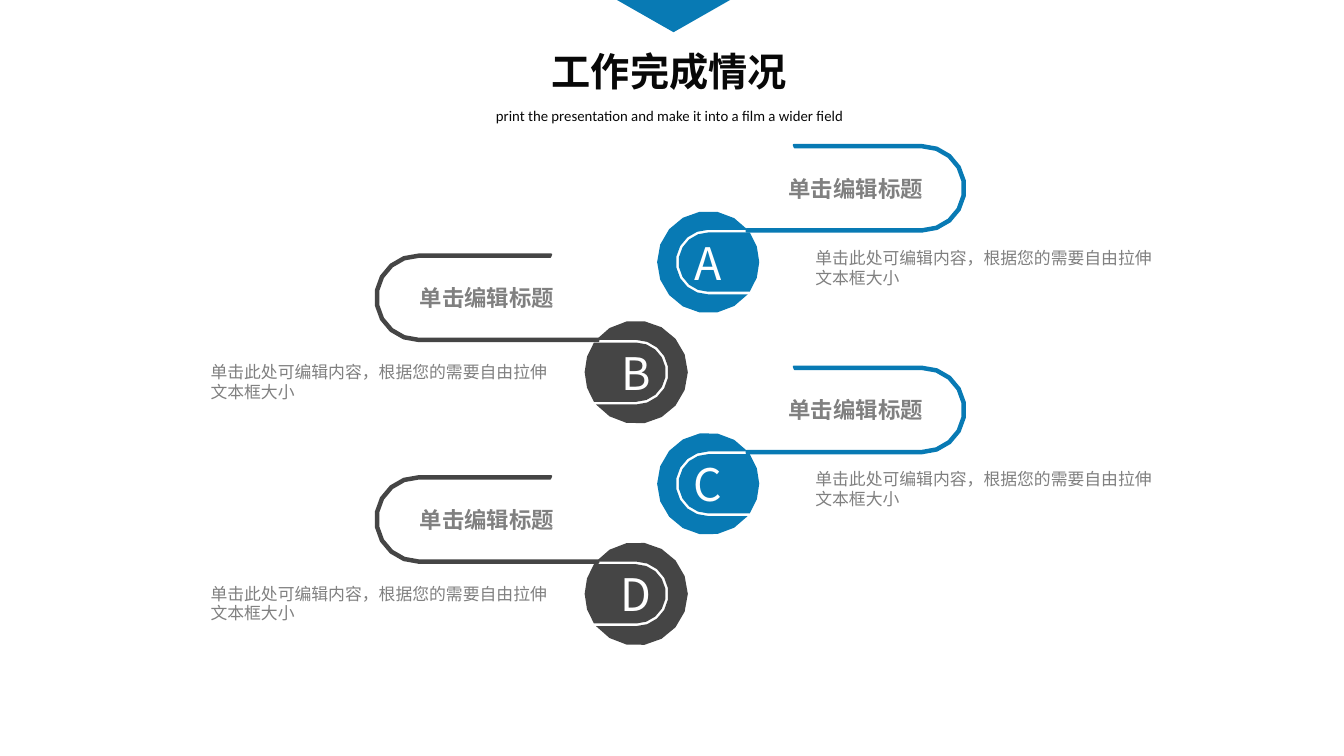
from math import asin, cos, degrees, radians, sin

from lxml.etree import SubElement
from pptx import Presentation
from pptx.dml.color import RGBColor
from pptx.enum.text import MSO_ANCHOR as ANCHOR, MSO_AUTO_SIZE as AUTOSIZE, PP_ALIGN as ALIGN
from pptx.oxml.ns import qn
from pptx.util import Cm, Pt

BLUE, DARK, GREY, BLACK, WHITE = "087AB4", "454545", "808080", "080808", "FFFFFF"
CJK = "Noto Sans CJK SC"
HEADING = "单击编辑标题"
NOTE = "单击此处可编辑内容，根据您的需要自由拉伸文本框大小"
NOTE_W, NOTE_H = 6.91, 1.02
BADGE_DY, HOOK_DX, HOOK_H = 1.25, 1.69, 1.64
ROW_STEP = 4.19
ARC_STEP = 20  # degrees between the points of an arc


def color(value):
    return RGBColor.from_string(value)


def write(sp, text, size=9, fill=GREY, bold=False, font=CJK, align=ALIGN.CENTER,
          anchor=ANCHOR.MIDDLE, margins=(0.25, 0.13), leading=None):
    tf = sp.text_frame
    tf.word_wrap = True
    tf.auto_size = AUTOSIZE.NONE
    tf.vertical_anchor = anchor
    tf.margin_left = tf.margin_right = Cm(margins[0])
    tf.margin_top = tf.margin_bottom = Cm(margins[1])
    p = tf.paragraphs[0]
    p.alignment = align
    p.space_before = Pt(0)
    if leading:
        p.line_spacing = Pt(leading)
    r = p.add_run()
    r.text = text
    r.font.size = Pt(size)
    r.font.bold = bold
    r.font.color.rgb = color(fill)
    r.font.name = font
    SubElement(r.font._element, qn("a:ea")).set("typeface", CJK)


def place(sp, x, y, w, h):
    sp.left, sp.top, sp.width, sp.height = Cm(x), Cm(y), Cm(w), Cm(h)


def arc(cx, cy, radius, start, end):
    steps = max(2, round(abs(end - start) / ARC_STEP))
    angles = [radians(start + (end - start) * i / steps) for i in range(steps + 1)]
    return [(cx + radius * cos(a), cy + radius * sin(a)) for a in angles]


def outline(s, contours, fill, line=None, x=0, y=0, side=1):
    """Draw closed contours from origin (x, y); side -1 mirrors them."""
    builder = None
    for contour in contours:
        points = [(Cm(x + side * u), Cm(y + v)) for u, v in contour]
        if builder is None:
            builder = s.shapes.build_freeform(*points[0], scale=1.0)
        else:
            builder.move_to(*points[0])
        builder.add_line_segments(points[1:], close=True)
    sp = builder.convert_to_shape()
    sp.shadow.inherit = False
    sp.fill.solid()
    sp.fill.fore_color.rgb = color(fill)
    if line:
        sp.line.color.rgb = color(fill)
        sp.line.width = Pt(line)
    else:
        sp.line.fill.background()
    return sp


def add_badge(s, x, y, radius, side, letter, fill):
    """Disc cut by a thin U-shaped track that opens to one side."""
    contours = []
    for half, turn in ((0.56, 0), (0.61, 360)):
        edge = degrees(asin(half / radius))
        contours.append(arc(0, 0, radius, -edge, edge - turn) + arc(0, 0, half, 90, 270))
    sp = outline(s, contours, fill, x=x, y=y, side=side)
    write(sp, letter, size=24, fill=WHITE)


def add_hook(s, x, y, w, h, side, fill):
    """Thin band that runs out, turns round and comes back."""
    radius, band = h / 2, 0.05
    cx = w - radius
    contour = ([(0.89, 0)] + arc(cx, radius, radius, -90, 90) + [(0, h), (0, h - band)]
               + arc(cx, radius, radius - band, 90, -90) + [(0.91, band)])
    sp = outline(s, [contour], fill, line=1, x=x, y=y, side=side)
    write(sp, HEADING, size=12, bold=True)


def add_item(s, x, y, w, h, side, letter, fill, hook_w, note_dy):
    """Badge at the inner edge of the box, hook and note towards the outer one."""
    radius = (h - BADGE_DY) / 2
    inner = x if side > 0 else x + w
    add_badge(s, inner + side * radius, y + BADGE_DY + radius, radius, side, letter, fill)
    add_hook(s, inner + side * HOOK_DX, y, hook_w, HOOK_H, side, fill)
    note_x = x + w - NOTE_W if side > 0 else x
    sp = s.shapes.add_textbox(Cm(note_x), Cm(y + note_dy), Cm(NOTE_W), Cm(NOTE_H))
    write(sp, NOTE, align=ALIGN.LEFT, anchor=ANCHOR.TOP, margins=(0.25, 0.18), leading=10.7)


def add_header(s, x, y, w, h):
    # Title and subtitle
    title, subtitle = s.shapes.title, s.placeholders[1]
    place(title, x, y, w, h - 0.58)
    write(title, "工作完成情况", size=21, fill=BLACK, bold=True, font="Calibri", margins=(0, 0))
    place(subtitle, x, y + h - 0.58, w, 0.58)
    write(subtitle, "print the presentation and make it into a film a wider field",
          size=7.9, fill=BLACK, font="Calibri", margins=(0, 0))
    # Pointer at the top edge
    outline(s, [[(11.66, 0), (13.8, 0), (12.73, 0.61)]], BLUE)


def main():
    prs = Presentation()
    prs.slide_width, prs.slide_height = Cm(25.4), Cm(14.29)
    s = prs.slides.add_slide(prs.slide_layouts[0])
    # Items on both sides, row by row
    for row, (right, left) in enumerate(("AB", "CD")):
        dy = row * ROW_STEP
        add_item(s, 12.42, 2.74 + dy, 9.65, 3.18, 1, right, BLUE, hook_w=4.14, note_dy=1.76)
        add_item(s, 3.73, 4.81 + dy, 9.27, 3.2, -1, left, DARK, hook_w=4.22, note_dy=1.85)
    add_header(s, 8.4, 0.79, 8.5, 1.68)
    prs.save("out.pptx")


if __name__ == "__main__":
    main()
